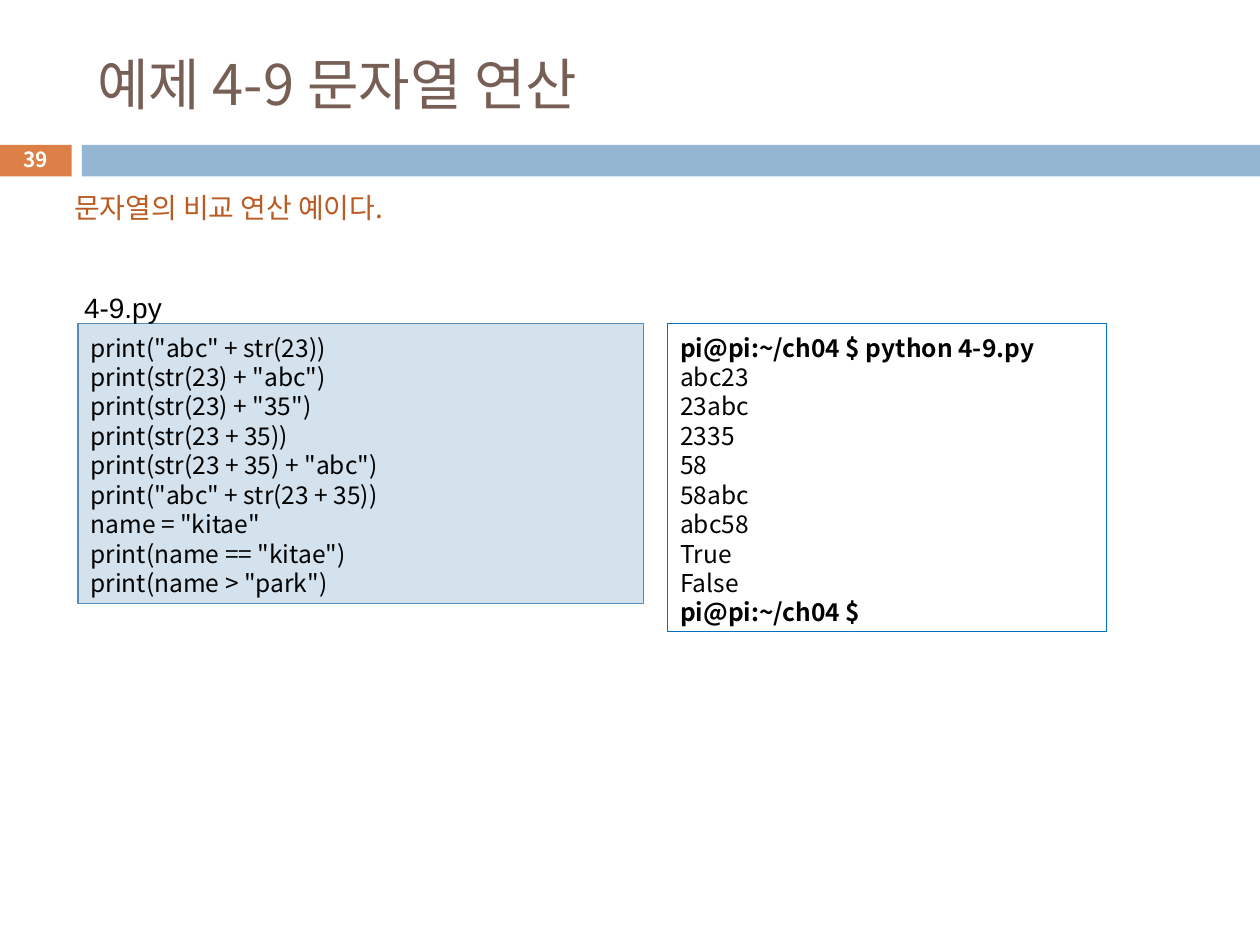
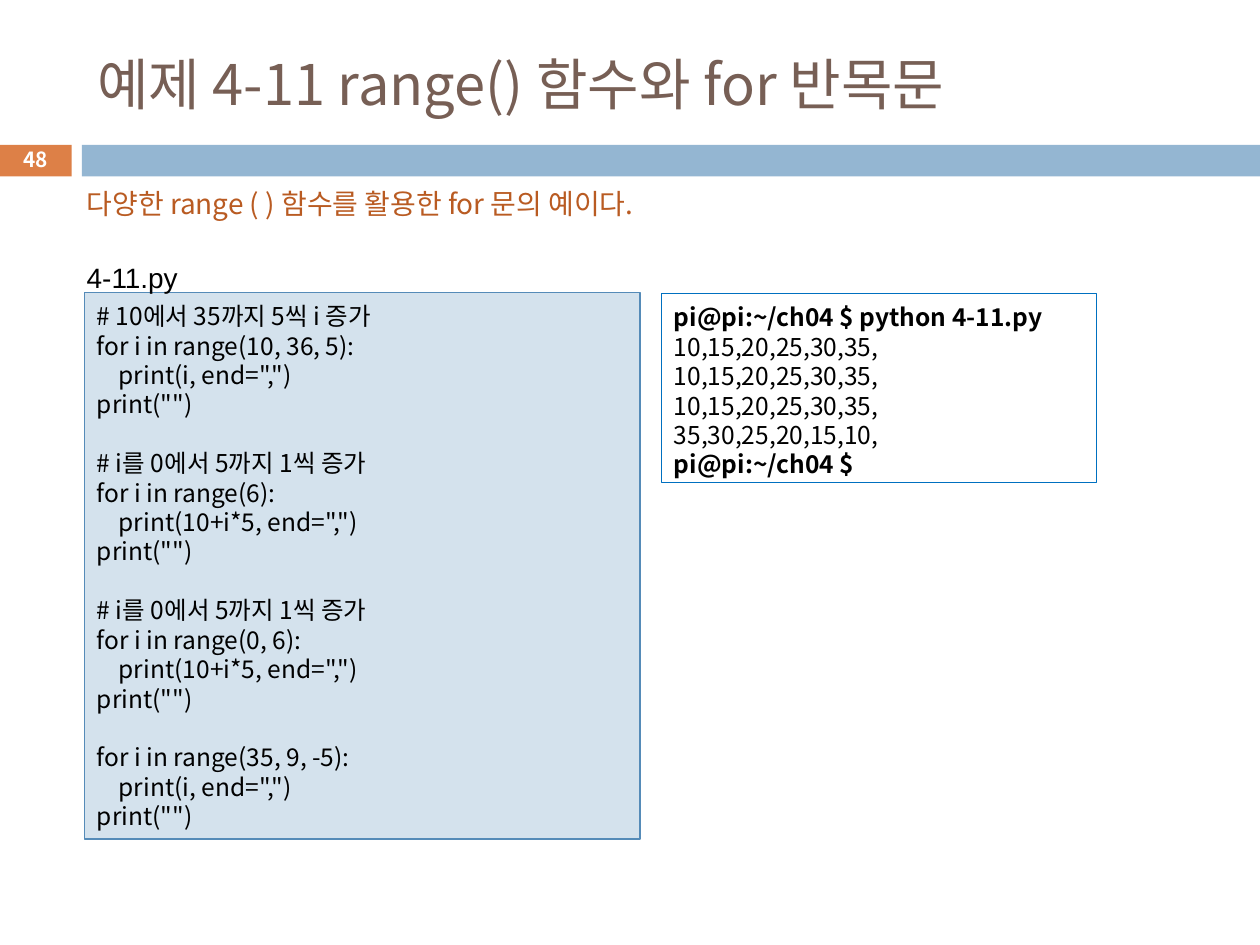
from pptx import Presentation
from pptx.dml.color import RGBColor as Rgb
from pptx.enum.shapes import MSO_SHAPE as Kind
from pptx.enum.text import MSO_ANCHOR as Anchor, MSO_AUTO_SIZE as Fit, PP_ALIGN as Align
from pptx.oxml.ns import qn
from pptx.util import Inches, Pt
from lxml.etree import SubElement

hues = {"title": "775F55", "page": "DD8047", "band": "94B6D2", "white": "FFFFFF",
        "lead": "B95B22", "code": "D4E2ED", "edge": "558BB8", "shell": "0070C0",
        "ink": "000000"}
sans = "Noto Sans CJK KR"
pitch = Pt(16.8)

deck = Presentation()
deck.slide_width, deck.slide_height = Inches(10), Inches(7.5)
col, row = deck.slide_width / 100, deck.slide_height / 75


def style(frame, size, hue, face=sans, bold=False, align=Align.LEFT):
    for para in frame.paragraphs:
        para.alignment = align
        for run in para.runs:
            font = run.font
            font.size, font.bold, font.name = Pt(size), bold, face
            font.color.rgb = Rgb.from_string(hues[hue])
            SubElement(run._r.get_or_add_rPr(), qn("a:ea"), typeface=face)


def draw(slide, spot, fill=None, edge=None, text=None):
    x, y, w, h = spot
    spot = [int(n) for n in (x * col, y * row, w * col, h * row)]
    if fill or edge:
        shape = slide.shapes.add_shape(Kind.RECTANGLE, *spot)
        shape.shadow.inherit = False
        shape.fill.background()
        shape.line.fill.background()
    else:
        shape = slide.shapes.add_textbox(*spot)
    if fill:
        shape.fill.solid()
        shape.fill.fore_color.rgb = Rgb.from_string(hues[fill])
    if edge:
        shape.line.color.rgb = Rgb.from_string(hues[edge])
        shape.line.width = Pt(0.75)
    if text:
        frame = shape.text_frame
        frame.text = text
        frame.word_wrap = bool(edge)
        frame.vertical_anchor = Anchor.TOP
    return shape


pages = [
    {"no": "39", "title": "예제 4-9 문자열 연산",
     "lead": "문자열의 비교 연산 예이다.", "lead at": (4.9, 14.6, 29.6, 3.7),
     "file": "4-9.py", "file at": (5.7, 21, 8.4, 4.7),
     "code at": (6.2, 25.7, 44.9, 22.2), "shell at": (53, 25.7, 34.8, 24.4),
     "code": ["""print("abc" + str(23))
print(str(23) + "abc")
print(str(23) + "35")
print(str(23 + 35))
print(str(23 + 35) + "abc")
print("abc" + str(23 + 35))
name = "kitae"
print(name == "kitae")
print(name > "park")"""],
     "out": "abc23 23abc 2335 58 58abc abc58 True False"},
    {"no": "48", "title": "예제 4-11 range() 함수와 for 반목문",
     "lead": "다양한 range ( ) 함수를 활용한 for 문의 예이다.", "lead at": (5.9, 14.3, 50.8, 3.7),
     "file": "4-11.py", "file at": (5.9, 18.6, 9.6, 4.7),
     "code at": (6.7, 23.2, 44.1, 43.4), "shell at": (52.5, 23.3, 34.5, 15),
     "code": ["""# 10에서 35까지 5씩 i 증가
for i in range(10, 36, 5):
    print(i, end=",")
print("")""", """# i를 0에서 5까지 1씩 증가
for i in range(6):
    print(10+i*5, end=",")
print("")""", """# i를 0에서 5까지 1씩 증가
for i in range(0, 6):
    print(10+i*5, end=",")
print("")""", """for i in range(35, 9, -5):
    print(i, end=",")
print("")"""],
     "out": "10,15,20,25,30,35, 10,15,20,25,30,35, 10,15,20,25,30,35, 35,30,25,20,15,10,"},
]

for page in pages:
    slide = deck.slides.add_slide(deck.slide_layouts[5])
    draw(slide, (0, 11.5, 5.7, 2.5), "page")
    draw(slide, (6.5, 11.5, 93.5, 2.5), "band")

    title = slide.shapes.title
    title.left, title.top = int(6.7 * col), int(2.5 * row)
    title.width, title.height = int(89.2 * col), int(8.2 * row)
    title.text_frame.text = page["title"]
    title.text_frame.vertical_anchor = Anchor.MIDDLE
    title.text_frame.auto_size = Fit.NONE
    style(title.text_frame, 32, "title")

    mark = draw(slide, (0, 11.3, 5.7, 2.7), text=page["no"]).text_frame
    mark.word_wrap = True
    mark.vertical_anchor = Anchor.MIDDLE
    style(mark, 11.9, "white", bold=True, align=Align.CENTER)

    lead = draw(slide, page["lead at"], text=page["lead"])
    style(lead.text_frame, 16, "lead")

    code = draw(slide, page["code at"], "code", "edge", "\n".join(page["code"])).text_frame
    prompt = "pi@pi:~/ch04 $"
    lines = [f"{prompt} python {page['file']}", *page["out"].split(" "), prompt]
    shell = draw(slide, page["shell at"], edge="shell", text="\n".join(lines)).text_frame
    for frame in (code, shell):
        style(frame, 14, "ink")
        frame.margin_top = Inches(0.07)
        for para in frame.paragraphs:
            para.line_spacing = pitch
    for para in (shell.paragraphs[0], shell.paragraphs[-1]):
        para.runs[0].font.bold = True
    start = 0
    for block in page["code"][:-1]:
        start += len(block.split("\n"))
        code.paragraphs[start].space_before = pitch

    name = draw(slide, page["file at"], text=page["file"]).text_frame
    style(name, 16, "ink", "Arial", align=Align.JUSTIFY)
    name.paragraphs[0].line_spacing = 1.6

deck.save("out.pptx")
